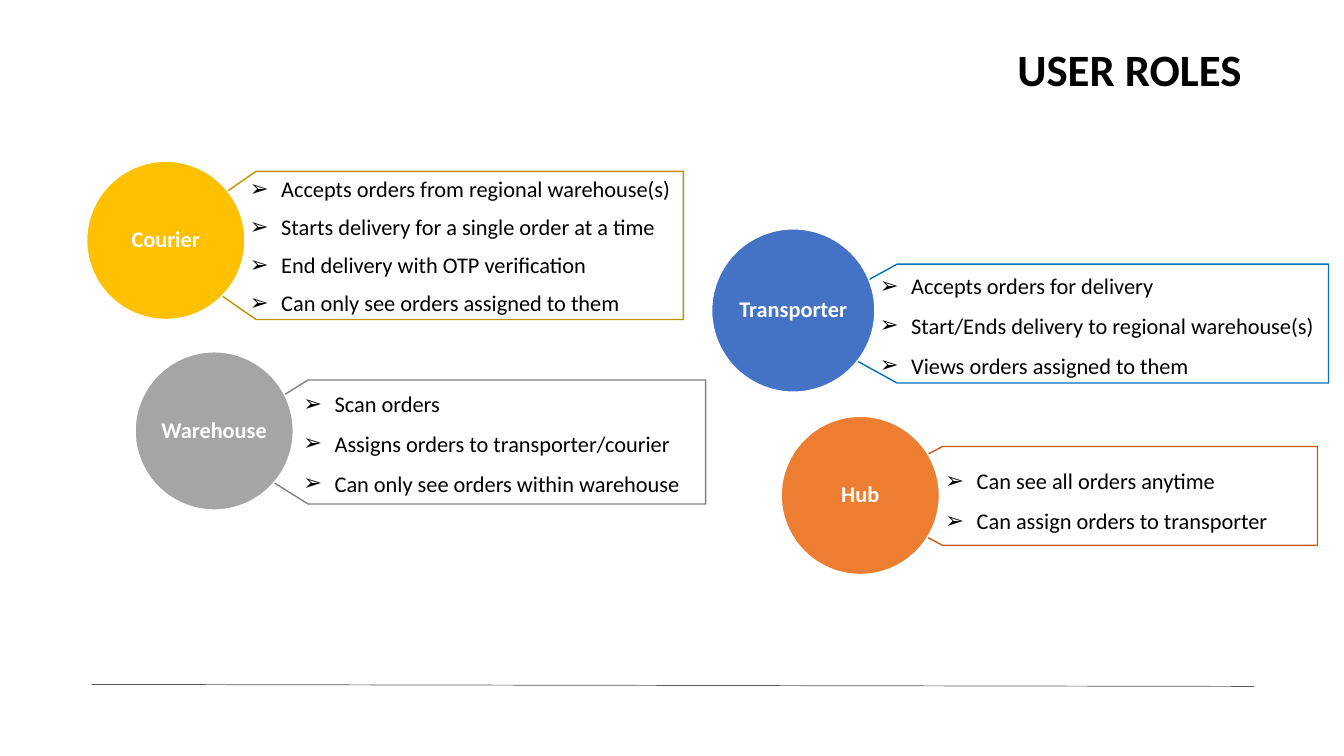
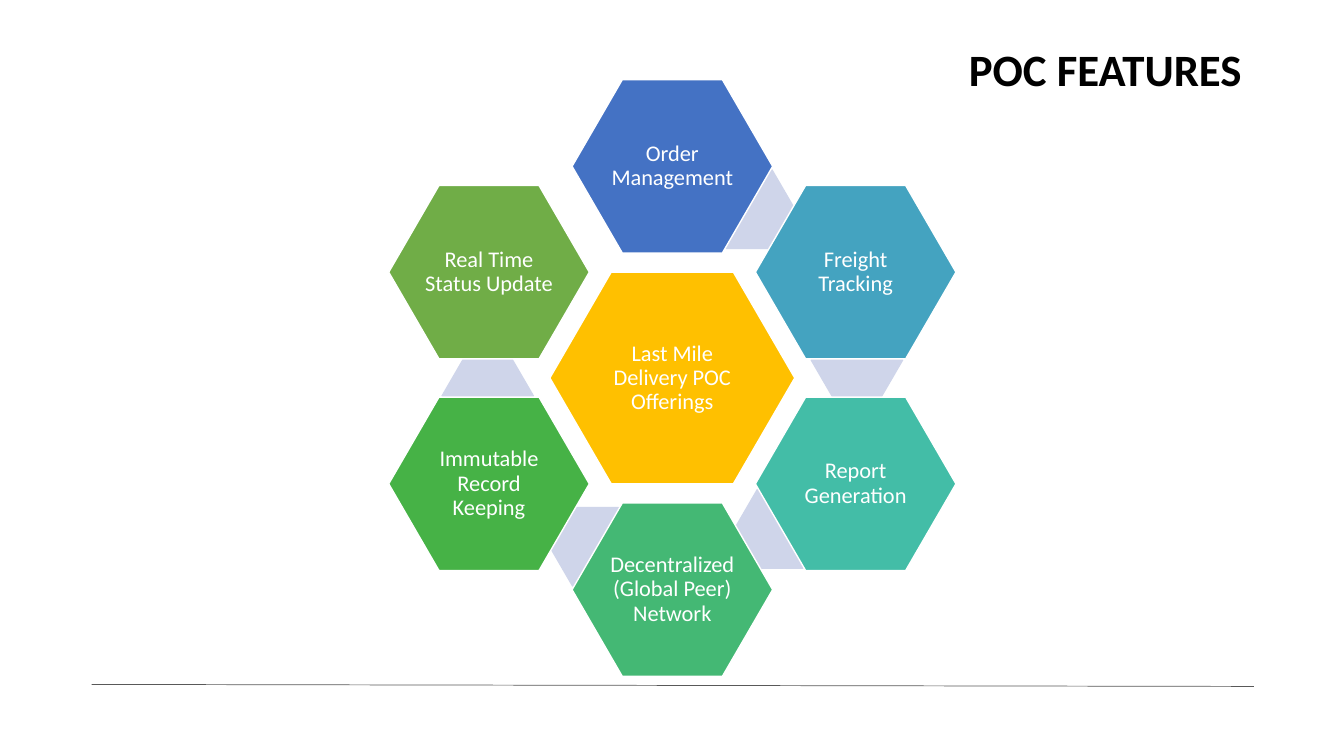
from math import cos, radians, sin

from lxml.etree import SubElement
from pptx import Presentation
from pptx.dml.color import RGBColor
from pptx.enum.shapes import MSO_CONNECTOR, MSO_SHAPE
from pptx.enum.text import MSO_ANCHOR, MSO_AUTO_SIZE, PP_ALIGN
from pptx.oxml.ns import qn
from pptx.util import Pt

PX = 9144  # 100 px to the inch
FONT = "Calibri"

BLACK = RGBColor(0x00, 0x00, 0x00)
WHITE = RGBColor(0xFF, 0xFF, 0xFF)
RULE_GRAY = RGBColor(0x59, 0x59, 0x59)
GOLD = RGBColor(0xFF, 0xC0, 0x00)
DARK_GOLD = RGBColor(0xBF, 0x90, 0x00)
GRAY = RGBColor(0xA5, 0xA5, 0xA5)
DARK_GRAY = RGBColor(0x80, 0x80, 0x80)
ORANGE = RGBColor(0xED, 0x7D, 0x31)
DARK_ORANGE = RGBColor(0xC5, 0x5A, 0x11)
BLUE = RGBColor(0x44, 0x72, 0xC4)
BRIGHT_BLUE = RGBColor(0x00, 0x70, 0xC0)
CYAN = RGBColor(0x44, 0xA3, 0xC0)
TEAL = RGBColor(0x43, 0xBD, 0xA7)
SEA_GREEN = RGBColor(0x44, 0xB8, 0x74)
GREEN = RGBColor(0x46, 0xB2, 0x46)
OLIVE_GREEN = RGBColor(0x70, 0xAD, 0x47)
PALE_BLUE = RGBColor(0xCF, 0xD5, 0xEA)

COMPARISON_LAYOUT, TITLE_ONLY_LAYOUT = 4, 5

# name, fill, outline, circle (left, top, diameter), flag box,
# list box, line spacing, duties
ROLES = [
    ("Courier", GOLD, DARK_GOLD, (86, 160, 157), (148, 170, 530, 147),
     (238, 169, 667, 151), 1.0,
     ["Accepts orders from regional warehouse(s)",
      "Starts delivery for a single order at a time",
      "End delivery with OTP verification",
      "Can only see orders assigned to them"]),
    ("Warehouse", GRAY, DARK_GRAY, (134, 349, 157), (207, 377, 493, 123),
     (291, 380, 414, 118), 1.07,
     ["Scan orders",
      "Assigns orders to transporter/courier",
      "Can only see orders within warehouse"]),
    ("Hub", ORANGE, DARK_ORANGE, (775, 413, 157), (842, 443, 465, 98),
     (928, 457, 363, 78), 1.07,
     ["Can see all orders anytime",
      "Can assign orders to transporter"]),
    ("Transporter", BLUE, BRIGHT_BLUE, (706, 227, 162), (783, 262, 535, 118),
     (863, 263, 467, 118), 1.07,
     ["Accepts orders for delivery",
      "Start/Ends delivery to regional warehouse(s)",
      "Views orders assigned to them"]),
]

FEATURES = [
    ("Order Management", BLUE),
    ("Freight Tracking", CYAN),
    ("Report Generation", TEAL),
    ("Decentralized (Global Peer) Network", SEA_GREEN),
    ("Immutable Record Keeping", GREEN),
    ("Real Time Status Update", OLIVE_GREEN),
]


def place(item, left, top, width, height):
    item.left, item.top = round(left * PX), round(top * PX)
    item.width, item.height = round(width * PX), round(height * PX)


def add_bullet(para, symbol="➢", indent=31):
    properties = para._p.get_or_add_pPr()
    properties.set("marL", str(indent * PX))
    properties.set("indent", str(-indent * PX))
    SubElement(properties, qn("a:buChar")).set("char", symbol)


def write_text(frame, lines, size=16, color=WHITE, bold=False,
               align=PP_ALIGN.CENTER, anchor=MSO_ANCHOR.MIDDLE,
               spacing=0.9, after=0, bullets=False):
    frame.word_wrap = True
    frame.vertical_anchor = anchor
    for index, line in enumerate(lines):
        para = frame.add_paragraph() if index else frame.paragraphs[0]
        para.alignment = align
        para.line_spacing = spacing
        para.space_before, para.space_after = Pt(0), Pt(after)
        if bullets:
            add_bullet(para)
        span = para.add_run()
        span.text = line
        span.font.name, span.font.size = FONT, Pt(size)
        span.font.bold = bold
        span.font.color.rgb = color


def add_figure(page, kind, box, fill, outline=WHITE, label=None, bold=False):
    """Add a filled preset shape; outline=None leaves it without a line."""
    figure = page.shapes.add_shape(kind, 0, 0, 0, 0)
    place(figure, *box)
    figure.shadow.inherit = False
    figure.fill.solid()
    figure.fill.fore_color.rgb = fill
    if outline is None:
        figure.line.fill.background()
    else:
        figure.line.color.rgb = outline
        figure.line.width = Pt(1)
    if label:
        frame = figure.text_frame
        frame.margin_left = frame.margin_right = 2 * PX
        frame.margin_top = frame.margin_bottom = 2 * PX
        write_text(frame, [label], bold=bold)
    return figure


def add_master_rule(deck, page):
    """Draw the footer rule and move it to the slide master."""
    rule = page.shapes.add_connector(
        MSO_CONNECTOR.STRAIGHT, 91 * PX, 679 * PX, 1244 * PX, 681 * PX)
    rule.line.color.rgb = RULE_GRAY
    rule.line.width = Pt(0.5)
    SubElement(rule._element.spPr, qn("a:effectLst"))
    deck.slide_master.shapes.element.append(rule.element)


def add_page(deck, layout, title):
    page = deck.slides.add_slide(deck.slide_layouts[layout])
    heading = page.shapes.title
    place(heading, 67, 39, 1175, 65)
    write_text(heading.text_frame, [title], size=32, color=BLACK, bold=True,
               align=PP_ALIGN.RIGHT)
    heading.text_frame.auto_size = MSO_AUTO_SIZE.NONE
    return page


def add_flag(page, box, outline):
    """Add an off-page connector whose point faces left and fills the box."""
    left, top, width, height = box
    upright = (left + (width - height) / 2, top + (height - width) / 2,
               height, width)
    flag = add_figure(page, MSO_SHAPE.FLOWCHART_OFFPAGE_CONNECTOR, upright,
                      WHITE, outline)
    flag.rotation = 90


def add_duties(page, placeholder, box, duties, spacing):
    place(placeholder, *box)
    write_text(placeholder.text_frame, duties, color=BLACK,
               align=PP_ALIGN.LEFT, anchor=MSO_ANCHOR.TOP, spacing=spacing,
               after=8, bullets=True)
    placeholder.text_frame.auto_size = MSO_AUTO_SIZE.SHAPE_TO_FIT_TEXT
    page.shapes.element.append(placeholder.element)  # in front of its flag


def fill_roles(page):
    bodies = [holder for holder in page.placeholders
              if holder.placeholder_format.idx > 0]
    for body, role in zip(bodies, ROLES):
        name, fill, outline, circle, flag_box, list_box, spacing, duties = role
        add_flag(page, flag_box, outline)
        add_duties(page, body, list_box, duties, spacing)
        left, top, diameter = circle
        add_figure(page, MSO_SHAPE.OVAL, (left, top, diameter, diameter),
                   fill, label=name, bold=True)


def add_hexagon(page, center, size, fill, **style):
    (x, y), (width, height) = center, size
    box = (x - width / 2, y - height / 2, width, height)
    hexagon = add_figure(page, MSO_SHAPE.HEXAGON, box, fill, **style)
    hexagon.adjustments[0] = 0.29


def ring_point(center, radius, degrees):
    """Point on a ring, with degrees counted clockwise from the top."""
    angle = radians(degrees)
    return center[0] + radius * sin(angle), center[1] - radius * cos(angle)


def fill_features(page, center):
    step = 360 / len(FEATURES)
    add_hexagon(page, center, (243, 210), GOLD,
                label="Last Mile Delivery POC Offerings")
    for index in range(len(FEATURES) - 1):
        add_hexagon(page, ring_point(center, 184, 24.5 + index * step),
                    (92, 79), PALE_BLUE, outline=None)
    for index, (name, fill) in enumerate(FEATURES):
        add_hexagon(page, ring_point(center, 210, index * step),
                    (199, 172), fill, label=name)


def main():
    deck = Presentation()
    deck.slide_width, deck.slide_height = 12192000, 750 * PX

    roles_page = add_page(deck, COMPARISON_LAYOUT, "USER ROLES")
    add_master_rule(deck, roles_page)
    fill_roles(roles_page)

    features_page = add_page(deck, TITLE_ONLY_LAYOUT, "POC FEATURES")
    fill_features(features_page, (667, 375))

    deck.save("out.pptx")


if __name__ == "__main__":
    main()
